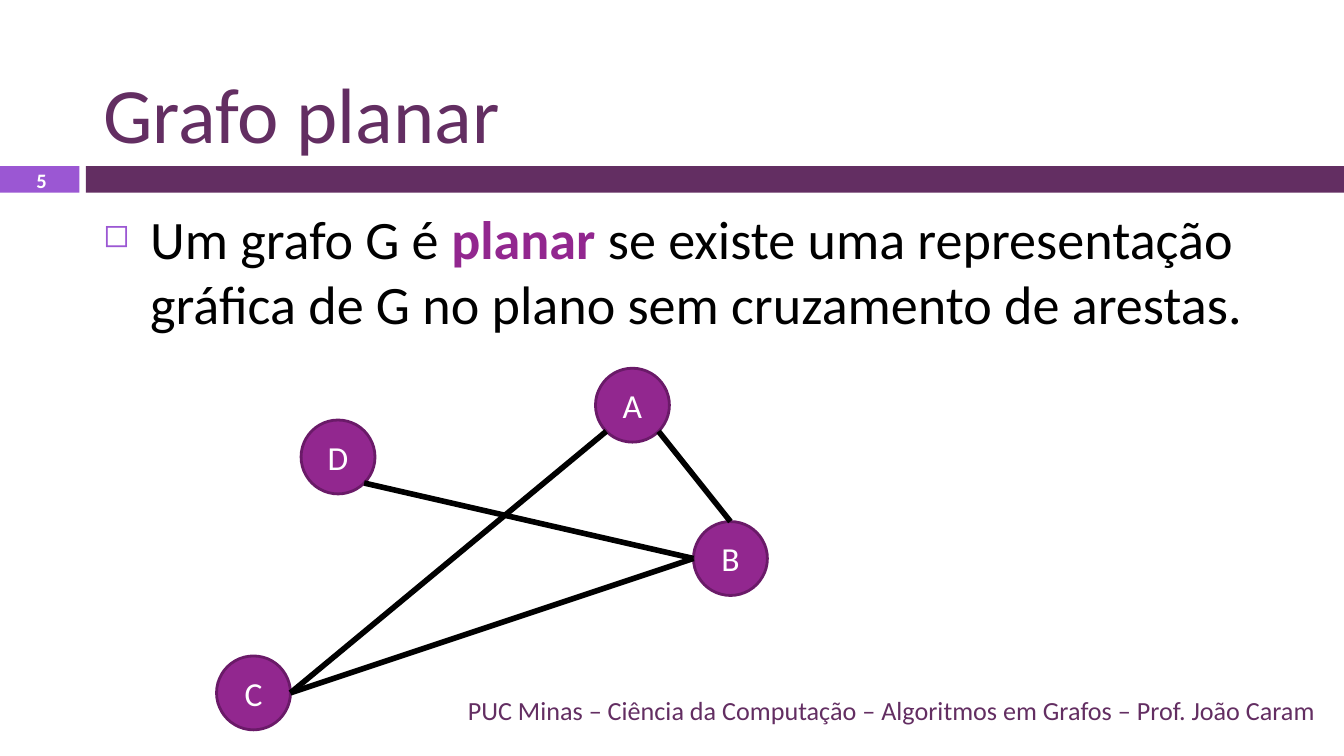
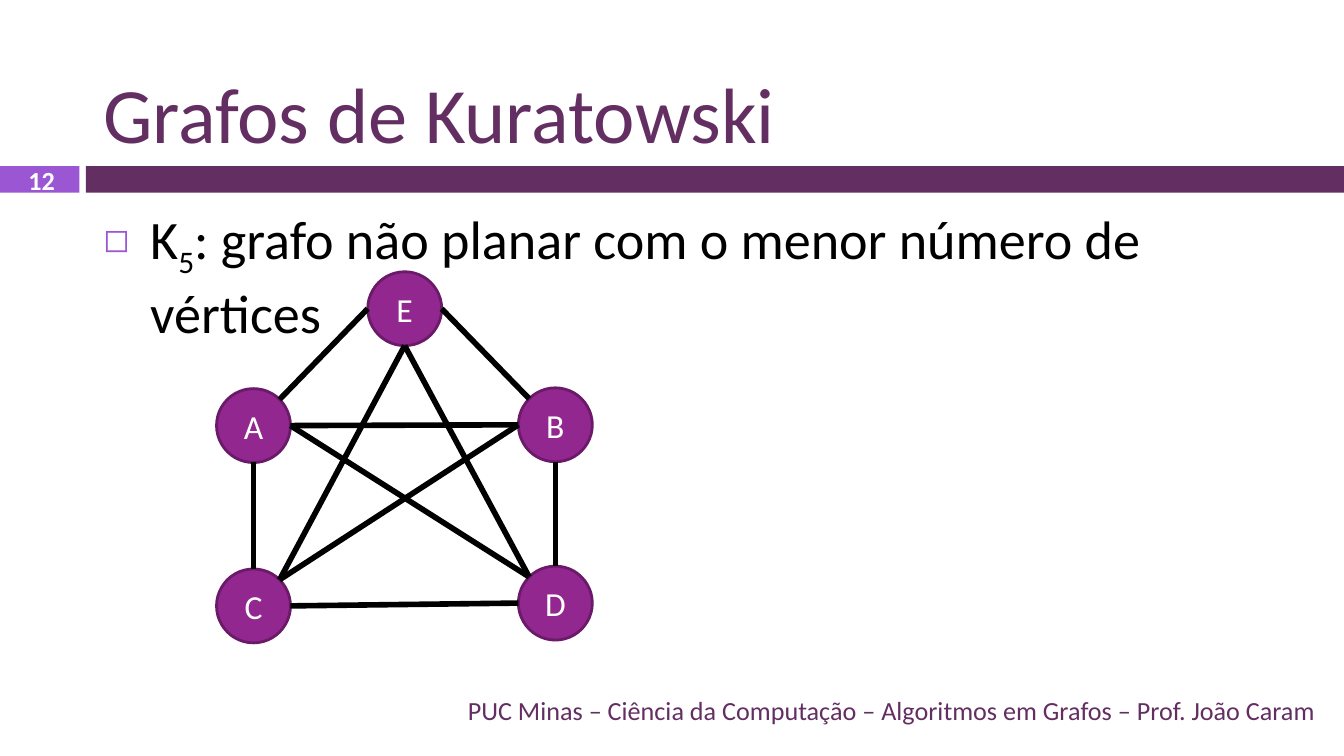
from lxml.etree import SubElement
from pptx import Presentation
from pptx.dml.color import RGBColor
from pptx.enum.shapes import MSO_CONNECTOR, MSO_SHAPE
from pptx.enum.text import MSO_ANCHOR, PP_ALIGN
from pptx.oxml.ns import qn
from pptx.util import Pt

FONT = "Calibri"
PLUM = "632E62"
LILAC = "9B57D3"
PURPLE = "92278F"
PURPLE_EDGE = "6A1A68"
BLACK = "000000"
WHITE = "FFFFFF"
FOOTER = "PUC Minas – Ciência da Computação – Algoritmos em Grafos – Prof. João Caram"

SIZE = 39.6  # vertex diameter
DIAGONAL = 0.5 ** 0.5
# Points on a vertex rim where edges meet, in radii from the centre
RIM = {
    "n": (0, -1), "s": (0, 1), "w": (-1, 0), "e": (1, 0),
    "nw": (-DIAGONAL, -DIAGONAL), "ne": (DIAGONAL, -DIAGONAL),
    "sw": (-DIAGONAL, DIAGONAL), "se": (DIAGONAL, DIAGONAL),
}


def rgb(color):
    return RGBColor.from_string(color)


class Deck:
    def __init__(self):
        self.presentation = Presentation()
        self.presentation.slide_width = Pt(720)
        self.presentation.slide_height = Pt(405)
        self.slide = None

    def new_slide(self, title, number, number_size):
        self.slide = self.presentation.slides.add_slide(self.presentation.slide_layouts[6])
        self.band(46, 674, PLUM)
        self.band(0, 42.5, LILAC)
        self.text(title, (48.2, 9.4, 663.8, 79.2), 42, PLUM, anchor=MSO_ANCHOR.BOTTOM)
        self.text(number, (1.4, 89.3, 41.8, 14.4), number_size, WHITE, PP_ALIGN.CENTER, bold=True)
        self.text(FOOTER, (48.2, 369.4, 663.8, 21.6), 14, PLUM, PP_ALIGN.RIGHT)

    def shape(self, kind, box, fill):
        shape = self.slide.shapes.add_shape(kind, *map(Pt, box))
        shape.shadow.inherit = False
        shape.fill.solid()
        shape.fill.fore_color.rgb = rgb(fill)
        return shape

    def band(self, left, width, color):
        self.shape(MSO_SHAPE.RECTANGLE, (left, 89, width, 14.2), color).line.fill.background()

    def style(self, paragraph, size, color, align=PP_ALIGN.LEFT, bold=False):
        paragraph.alignment = align
        font = paragraph.font
        font.name, font.size, font.bold = FONT, Pt(size), bold
        font.color.rgb = rgb(color)

    def text(self, words, box, size, color, align=PP_ALIGN.LEFT, anchor=MSO_ANCHOR.MIDDLE, bold=False):
        frame = self.slide.shapes.add_textbox(*map(Pt, box)).text_frame
        frame.word_wrap = True
        frame.vertical_anchor = anchor
        paragraph = frame.paragraphs[0]
        paragraph.text = words
        self.style(paragraph, size, color, align, bold)
        return paragraph

    def statement(self, before, special, after):
        """Add the bulleted definition and return its special middle run."""
        paragraph = self.text("", (48.2, 106.6, 663.8, 257.8), 29, BLACK, anchor=MSO_ANCHOR.TOP)
        properties = paragraph._p.get_or_add_pPr()
        properties.set("marL", str(Pt(25.2)))
        properties.set("indent", str(Pt(-25.2)))
        bullet_color = SubElement(properties, qn("a:buClr"))
        SubElement(bullet_color, qn("a:srgbClr"), val=LILAC)
        SubElement(properties, qn("a:buSzPct"), val="60000")
        SubElement(properties, qn("a:buChar"), char="◻")
        # Bullet elements must precede the default run properties
        properties.append(properties.find(qn("a:defRPr")))
        runs = [paragraph.add_run() for _ in range(3)]
        for run, words in zip(runs, (before, special, after)):
            run.text = words
        return runs[1]

    def graph(self, vertices, edges):
        """Draw vertices {name: (left, top)} and edges such as "A.sw C.e"."""
        for name, (left, top) in vertices.items():
            vertex = self.shape(MSO_SHAPE.OVAL, (left, top, SIZE, SIZE), PURPLE)
            vertex.line.color.rgb = rgb(PURPLE_EDGE)
            vertex.line.width = Pt(1.5)
            vertex.text_frame.vertical_anchor = MSO_ANCHOR.MIDDLE
            paragraph = vertex.text_frame.paragraphs[0]
            paragraph.text = name
            self.style(paragraph, 18, WHITE, PP_ALIGN.CENTER)
        for edge in edges:
            ends = []
            for end in edge.split():
                name, side = end.split(".")
                ends += [Pt(corner + SIZE / 2 * (1 + offset))
                         for corner, offset in zip(vertices[name], RIM[side])]
            self.edge(ends)

    def edge(self, ends):
        line = self.slide.shapes.add_connector(MSO_CONNECTOR.STRAIGHT, *ends)
        line.line.color.rgb = rgb(BLACK)
        line.line.width = Pt(3)
        SubElement(line._element.spPr, qn("a:effectLst"))


def main():
    deck = Deck()

    deck.new_slide("Grafo planar", "5", 11)
    planar = deck.statement(
        "Um grafo G é ", "planar",
        " se existe uma representação gráfica de G no plano sem cruzamento de arestas.")
    planar.font.bold = True
    planar.font.color.rgb = rgb(PURPLE)
    deck.graph(
        {"D": (161.3, 225), "C": (116, 351.4), "B": (371.5, 279.4), "A": (319, 197.3)},
        ["A.sw C.e", "B.w D.se", "B.w C.e", "B.n A.se"])

    deck.new_slide("Grafos de Kuratowski", "12", 14)
    subscript = deck.statement("K", "5", ": grafo não planar com o menor número de vértices")
    subscript.font._element.set("baseline", "-25000")
    deck.graph(
        {"A": (116, 208.2), "B": (277.7, 207.8), "D": (277.7, 303.3),
         "C": (116, 304.8), "E": (197, 145.6)},
        ["B.w C.ne", "A.e D.nw", "B.s D.n", "D.w C.e", "B.w A.e", "C.n A.s",
         "E.w A.ne", "B.nw E.e", "E.s C.ne", "D.nw E.s"])

    deck.presentation.save("out.pptx")


if __name__ == "__main__":
    main()
